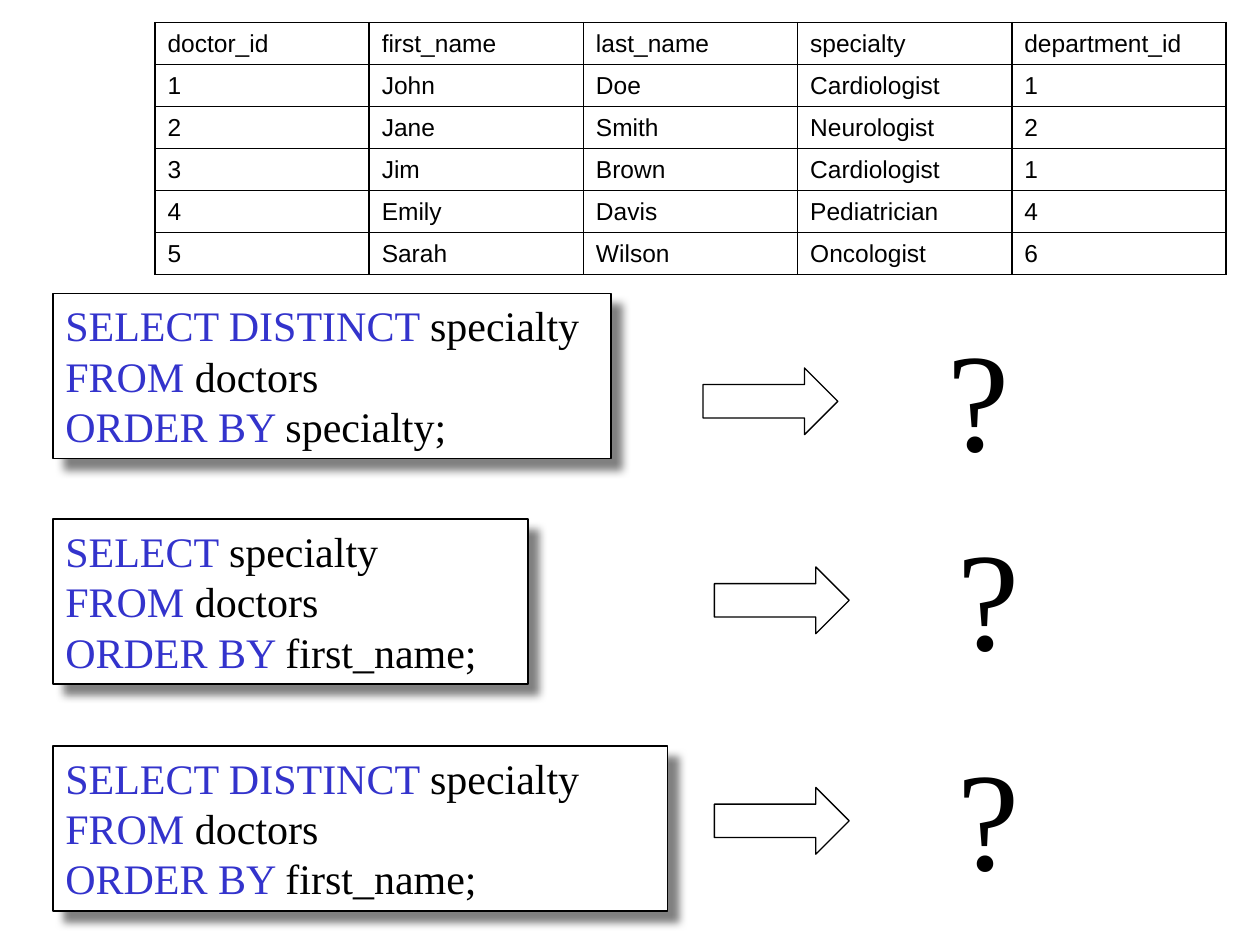
import lxml.etree
import pptx
import pptx.dml.color
import pptx.enum.shapes
import pptx.enum.text
import pptx.oxml
import pptx.oxml.ns
import pptx.util
from pptx.util import Inches

BLACK = pptx.dml.color.RGBColor(0x00, 0x00, 0x00)
WHITE = pptx.dml.color.RGBColor(0xFF, 0xFF, 0xFF)
KEYWORD_BLUE = pptx.dml.color.RGBColor(0x33, 0x33, 0xCC)
SHADOW_GRAY = pptx.dml.color.RGBColor(0x80, 0x80, 0x80)
SERIF = "Times New Roman"
SANS = "Arial"

DOCTORS = [
    ("doctor_id", "first_name", "last_name", "specialty", "department_id"),
    ("1", "John", "Doe", "Cardiologist", "1"),
    ("2", "Jane", "Smith", "Neurologist", "2"),
    ("3", "Jim", "Brown", "Cardiologist", "1"),
    ("4", "Emily", "Davis", "Pediatrician", "4"),
    ("5", "Sarah", "Wilson", "Oncologist", "6"),
]

QUERIES = [
    ("SELECT DISTINCT ", "specialty;", 2.33, 4.43, (5.58, 2.92), (7.42, 2.42)),
    ("SELECT ", "first_name;", 4.12, 3.77, (5.67, 4.5), (7.5, 4)),
    ("SELECT DISTINCT ", "first_name;", 5.92, 4.88, (5.67, 6.25), (7.5, 5.75)),
]


def add_run(paragraph, text, font_name, size, color):
    """Add one formatted run to a paragraph."""
    run = paragraph.add_run()
    run.text = text
    run.font.name = font_name
    run.font.size = pptx.util.Pt(size)
    run.font.color.rgb = color


def add_cell_borders(cell):
    """Draw a thin black line on all four sides of a table cell."""
    properties = cell._tc.get_or_add_tcPr()
    for side in ("lnL", "lnR", "lnT", "lnB"):
        properties.append(pptx.oxml.parse_xml(
            f'<a:{side} {pptx.oxml.ns.nsdecls("a")} w="{pptx.util.Pt(1)}">'
            f'<a:solidFill><a:srgbClr val="{BLACK}"/></a:solidFill></a:{side}>'
        ))


def add_offset_shadow(shape):
    """Give a shape a soft gray shadow to the lower right."""
    shape.shadow.inherit = False
    effects = shape._element.spPr.find(pptx.oxml.ns.qn("a:effectLst"))
    shadow = lxml.etree.SubElement(
        effects, pptx.oxml.ns.qn("a:outerShdw"),
        blurRad=str(pptx.util.Pt(5)), dist=str(pptx.util.Pt(8.5)),
        dir=str(45 * 60000), algn="tl", rotWithShape="0")
    lxml.etree.SubElement(
        shadow, pptx.oxml.ns.qn("a:srgbClr"), val=str(SHADOW_GRAY))


def add_doctors_table(slide, left, top, width, height):
    """Place the doctors table with equal rows and columns."""
    row_count, column_count = len(DOCTORS), len(DOCTORS[0])
    table = slide.shapes.add_table(
        row_count, column_count, left, top, width, height).table
    table.first_row = False
    table.horz_banding = False
    for row, values in zip(table.rows, DOCTORS):
        for cell, value in zip(row.cells, values):
            add_cell_borders(cell)
            cell.fill.background()
            cell.vertical_anchor = pptx.enum.text.MSO_ANCHOR.MIDDLE
            add_run(cell.text_frame.paragraphs[0], value, SANS, 14, BLACK)


def add_query_box(slide, left, top, width, height, lines):
    """Place a shadowed box holding one SQL query."""
    box = slide.shapes.add_shape(
        pptx.enum.shapes.MSO_SHAPE.RECTANGLE, left, top, width, height)
    box.fill.solid()
    box.fill.fore_color.rgb = WHITE
    box.line.color.rgb = BLACK
    box.line.width = pptx.util.Pt(0.75)
    add_offset_shadow(box)
    frame = box.text_frame
    frame.word_wrap = True
    frame.vertical_anchor = pptx.enum.text.MSO_ANCHOR.TOP
    for index, (keyword, name) in enumerate(lines):
        paragraph = frame.add_paragraph() if index else frame.paragraphs[0]
        paragraph.alignment = pptx.enum.text.PP_ALIGN.LEFT
        add_run(paragraph, keyword, SERIF, 24, KEYWORD_BLUE)
        add_run(paragraph, name, SERIF, 24, BLACK)


def add_arrow(slide, left, top, width, height):
    """Place an outlined arrow pointing right."""
    arrow = slide.shapes.add_shape(
        pptx.enum.shapes.MSO_SHAPE.RIGHT_ARROW, left, top, width, height)
    arrow.shadow.inherit = False
    arrow.fill.background()
    arrow.line.color.rgb = BLACK
    arrow.line.width = pptx.util.Pt(0.75)


def add_question_mark(slide, left, top, width, height):
    """Place a large question mark."""
    frame = slide.shapes.add_textbox(left, top, width, height).text_frame
    frame.word_wrap = True
    add_run(frame.paragraphs[0], "?", SERIF, 80, BLACK)


def main():
    """Build the slide and save it."""
    presentation = pptx.Presentation()
    presentation.slide_width = Inches(10)
    presentation.slide_height = Inches(7.5)
    slide = presentation.slides.add_slide(presentation.slide_layouts[6])
    add_doctors_table(
        slide, Inches(1.23), Inches(0.18), Inches(8.5), Inches(2))
    for select, order, top, width, arrow, question in QUERIES:
        lines = [(select, "specialty"), ("FROM ", "doctors"),
                 ("ORDER BY ", order)]
        add_query_box(slide, Inches(0.42), Inches(top), Inches(width),
                      Inches(1.31), lines)
        add_arrow(slide, *map(Inches, arrow), Inches(1.07), Inches(0.53))
        add_question_mark(
            slide, *map(Inches, question), Inches(0.69), Inches(1.43))
    presentation.save("out.pptx")


if __name__ == "__main__":
    main()
